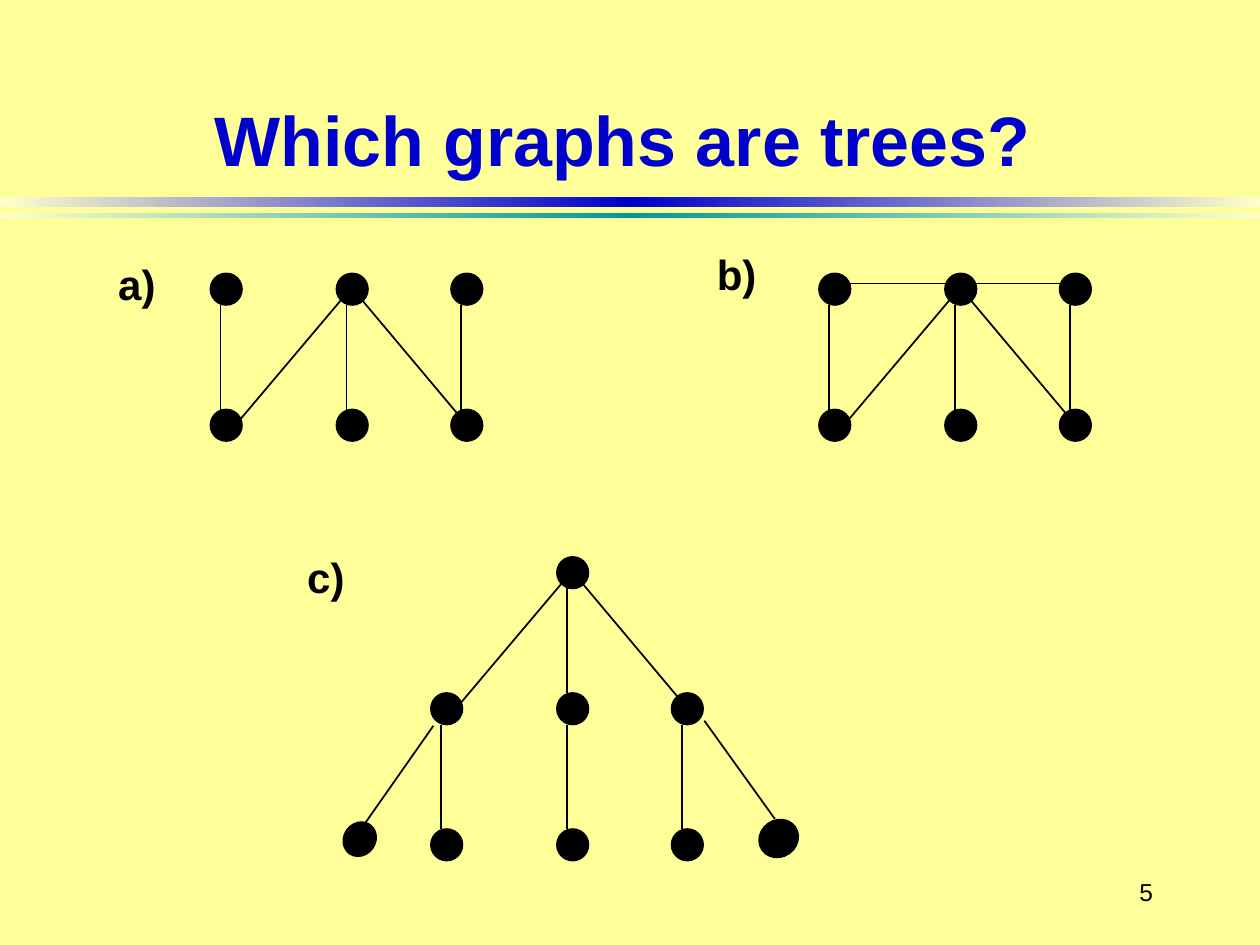
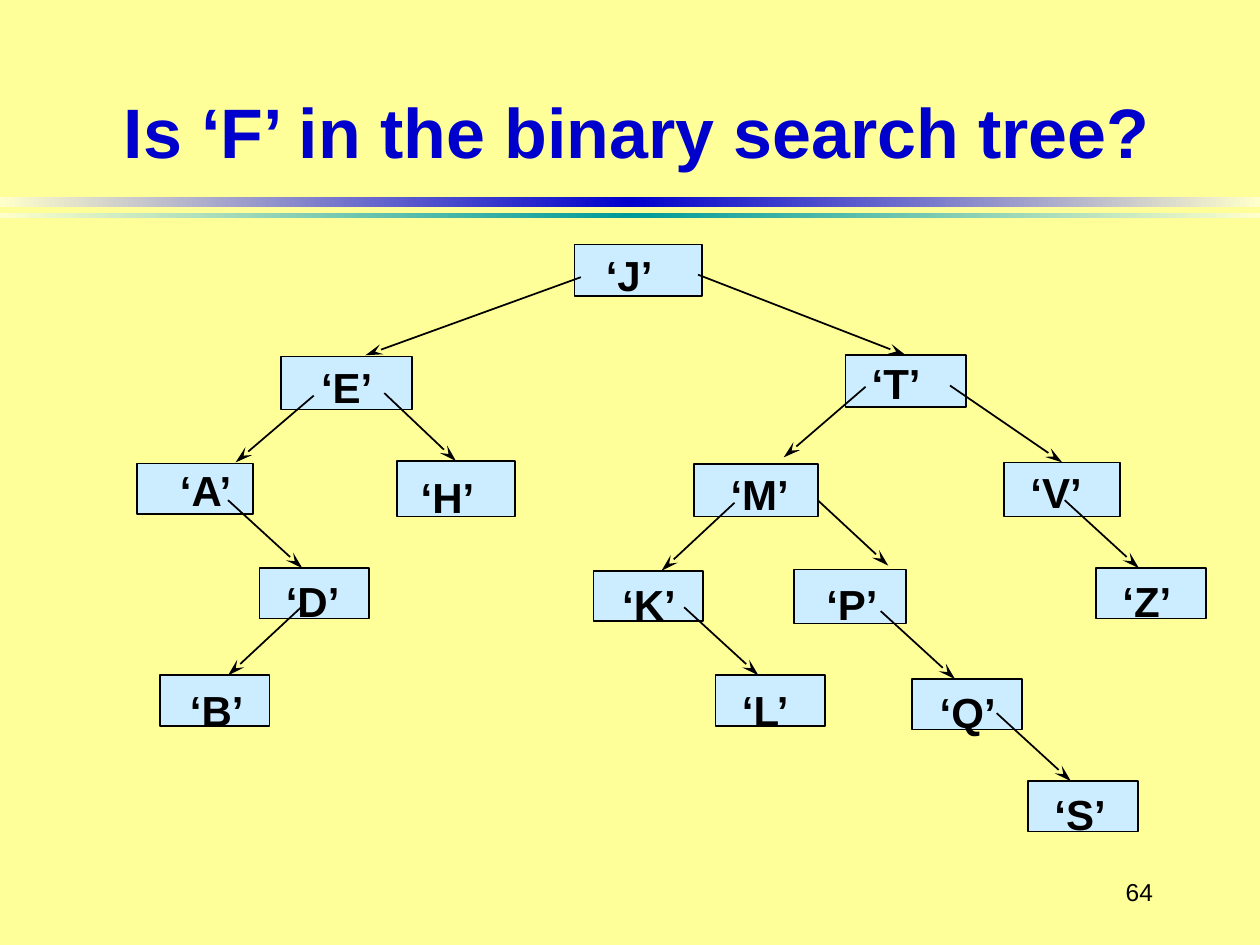
from collections import namedtuple
from copy import deepcopy

from lxml import etree
from pptx import Presentation
from pptx import util as u
from pptx.dml.color import RGBColor
from pptx.enum import shapes, text
from pptx.oxml.ns import qn

PX = 9144
FONT = "Arial"
PAPER, BLACK, BLUE, TEAL, CREAM, SKY = (
    "FFFF99", "000000", "0000CC", "009999", "FFFFCC", "CCECFF")
BANDS = [(156, 8, BLUE), (169, 4, TEAL)]

DOT = 25
COLUMNS = (0, 100, 191)
DROP = 108
GRAPH_LABELS = [("a)", 84, 200, 50), ("b)", 559, 192, 52), ("c)", 234, 433, 50)]

Node = namedtuple("Node", "letter box label start tip")
RIGHT = ((-25, -54), (34, 0))
LEFT = ((112, -54), (54, 0))
NODES = [
    Node("J", (456, 194, 101, 41), (15, -1, 57), None, None),
    Node("E", (223, 283, 104, 42), (22, -1, 61), (238, -63), (67, -1)),
    Node("A", (109, 368, 92, 40), (24, -4, 63), (140, -54), (78, -1)),
    Node("H", (315, 366, 94, 44), (9, 3, 63), (-10, -54), (49, -2)),
    Node("T", (671, 282, 96, 41), (11, -3, 59), (-117, -64), (45, 1)),
    Node("M", (551, 368, 98, 42), (19, -1, 67), (136, -61), (71, -5)),
    Node("V", (797, 367, 92, 43), (11, -2, 61), (-43, -61), (42, 3)),
    Node("P", (630, 452, 89, 43), (16, 2, 61), (19, -55), (75, -3)),
    Node("K", (471, 453, 87, 40), (13, 1, 63), *LEFT),
    Node("B", (127, 536, 87, 40), (14, 2, 63), *LEFT),
    Node("D", (206, 451, 87, 40), (11, 1, 63), *RIGHT),
    Node("Z", (870, 451, 87, 40), (11, 1, 59), *RIGHT),
    Node("Q", (724, 539, 87, 40), (12, 1, 65), *RIGHT),
    Node("L", (568, 536, 87, 40), (11, 2, 59), *RIGHT),
    Node("S", (816, 620, 87, 40), (11, 1, 61), *RIGHT),
]


def emu(*lengths):
    """Turn px lengths into EMU."""
    return [u.Emu(length * PX) for length in lengths]


def color(value):
    """Turn a hex string into a colour."""
    return RGBColor.from_string(value)


def add_words(slide, box, words, size=24, ink=BLACK, bold=True, wrap=False,
              align=text.PP_ALIGN.LEFT, anchor=text.MSO_ANCHOR.TOP):
    """Add a one-paragraph text box."""
    frame = slide.shapes.add_textbox(*emu(*box)).text_frame
    frame.word_wrap = wrap
    frame.vertical_anchor = anchor
    paragraph = frame.paragraphs[0]
    paragraph.alignment = align
    run = paragraph.add_run()
    run.text = words
    run.font.name = FONT
    run.font.size = u.Pt(size)
    run.font.bold = bold
    run.font.color.rgb = color(ink)


def add_solid(slide, kind, box, fill):
    """Add a preset shape with a thin black outline."""
    shape = slide.shapes.add_shape(kind, *emu(*box))
    shape.shadow.inherit = False
    shape.fill.solid()
    shape.fill.fore_color.rgb = color(fill)
    shape.line.color.rgb = color(BLACK)
    shape.line.width = u.Pt(1)
    return shape


def add_line(slide, start, end, arrow=False):
    """Add a straight black line, with a stealth head at its end if asked."""
    line = slide.shapes.add_connector(
        shapes.MSO_CONNECTOR.STRAIGHT, *emu(*start, *end))
    line.line.color.rgb = color(BLACK)
    line.line.width = u.Pt(1)
    properties = line._element.spPr
    if arrow:
        etree.SubElement(properties.find(qn("a:ln")), qn("a:tailEnd"),
                         type="stealth", w="med", len="lg")
    etree.SubElement(properties, qn("a:effectLst"))
    return line


def add_band(slide, top, height, middle):
    """Add a full-width band that fades out to both sides."""
    band = slide.shapes.add_shape(
        shapes.MSO_SHAPE.RECTANGLE, *emu(0, top, 1000, height))
    band.shadow.inherit = False
    band.line.fill.background()
    band.fill.gradient()
    band.fill.gradient_angle = 0
    for stop in band.fill.gradient_stops:
        stop.color.rgb = color(CREAM)
    stops = band._element.spPr.find(qn("a:gradFill")).find(qn("a:gsLst"))
    center = deepcopy(stops[0])
    center.set("pos", "50000")
    center[0].set("val", middle)
    stops.insert(1, center)


def add_page(presentation, title, title_box, number):
    """Add a slide with background, bands, title and page number."""
    slide = presentation.slides.add_slide(presentation.slide_layouts[6])
    slide.background.fill.solid()
    slide.background.fill.fore_color.rgb = color(PAPER)
    for band in BANDS:
        add_band(slide, *band)
    add_words(slide, (858, 683, 67, 50), number, 14, bold=False,
              align=text.PP_ALIGN.RIGHT, anchor=text.MSO_ANCHOR.MIDDLE)
    add_words(slide, title_box, title, 40, BLUE, wrap=True,
              align=text.PP_ALIGN.CENTER, anchor=text.MSO_ANCHOR.BOTTOM)
    return slide


def add_vertex(slide, left, top, width=DOT, height=DOT, turn=0):
    """Add a graph vertex."""
    vertex = add_solid(slide, shapes.MSO_SHAPE.OVAL,
                       (left, top, width, height), BLACK)
    vertex.rotation = turn


def add_upright(slide, left, top):
    """Add the edge from the vertex at left, top to the one below."""
    add_line(slide, (left + 8, top + DOT), (left + 8, top + DROP))


def add_slants(slide, left, top):
    """Add the edges from the upper middle vertex to both lower corners."""
    add_line(slide, (left + 116, top + 16), (left + 200, top + 116))
    add_line(slide, (left + 108, top + 16), (left + 16, top + 125))


def add_ladder(slide, left, top):
    """Add three pairs of vertices, each joined by an upright edge."""
    for column in COLUMNS:
        add_vertex(slide, left + column, top)
        add_vertex(slide, left + column, top + DROP)
        add_upright(slide, left + column, top)


def add_rooted_graph(slide, left, top):
    """Add a root above a ladder that has two outer leaves."""
    add_vertex(slide, left + COLUMNS[1], top)
    add_upright(slide, left + COLUMNS[1], top)
    add_slants(slide, left, top)
    add_ladder(slide, left, top + DROP)
    add_line(slide, (left + 2, top + 134), (left - 52, top + 211))
    add_vertex(slide, left - 69, top + 210, 25, 28, 35.2)
    add_line(slide, (left + 217, top + 130), (left + 273, top + 208))
    add_vertex(slide, left + 260, top + 209, 32, 29, 324.8)


def add_graphs_slide(presentation):
    """Add the slide with three graphs to judge."""
    slide = add_page(presentation, "Which graphs are trees?",
                     (65, 23, 858, 125), "5")
    for left in (167, 650):
        add_ladder(slide, left, 217)
        add_slants(slide, left, 217)
    add_line(slide, (667, 225), (850, 225))
    add_rooted_graph(slide, 342, 442)
    for label, left, top, width in GRAPH_LABELS:
        add_words(slide, (left, top, width, 50), label)


def add_branch(slide, node, rectangle):
    """Add the arrow from the parent, joined when it meets the top middle."""
    left, top, width, _ = node.box
    start, tip = ((left + x, top + y) for x, y in (node.start, node.tip))
    arrow = add_line(slide, start, tip, arrow=True)
    if abs(node.tip[0] - width / 2) < 5:
        arrow.end_connect(rectangle, 0)


def add_search_tree_slide(presentation):
    """Add the slide with the binary search tree."""
    slide = add_page(presentation, "Is ‘F’ in the binary search tree?",
                     (40, 17, 931, 125), "64")
    rectangles = [add_solid(slide, shapes.MSO_SHAPE.RECTANGLE, node.box, SKY)
                  for node in NODES]
    for node, rectangle in zip(NODES, rectangles):
        if node.start:
            add_branch(slide, node, rectangle)
        x, y, width = node.label
        add_words(slide, (node.box[0] + x, node.box[1] + y, width, 50),
                  f"‘{node.letter}’")


def main():
    """Build and save the presentation."""
    presentation = Presentation()
    presentation.slide_width, presentation.slide_height = emu(1000, 750)
    add_graphs_slide(presentation)
    add_search_tree_slide(presentation)
    presentation.save("out.pptx")


if __name__ == "__main__":
    main()
